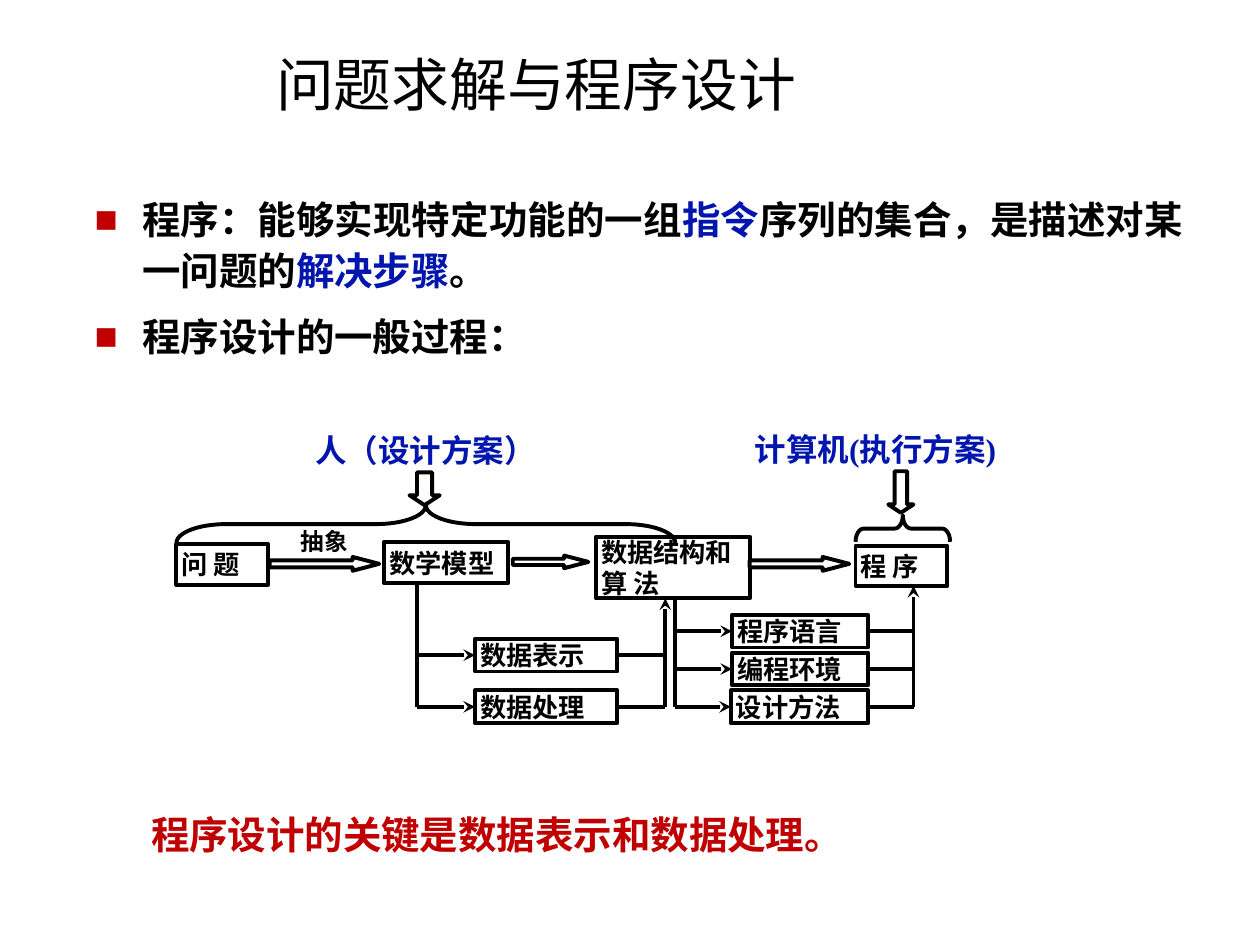
from lxml.etree import SubElement
from pptx import Presentation
from pptx.dml.color import RGBColor
from pptx.enum.shapes import MSO_CONNECTOR, MSO_SHAPE
from pptx.enum.text import MSO_ANCHOR, MSO_AUTO_SIZE, PP_ALIGN
from pptx.oxml.ns import qn
from pptx.util import Inches, Pt

BLACK = RGBColor(0, 0, 0)
WHITE = RGBColor(255, 255, 255)
BLUE = RGBColor(0x02, 0x16, 0xAE)
RED = RGBColor(0xC0, 0, 0)
SERIF, CHINESE, ROUNDED = "Times New Roman", "Noto Sans CJK SC", "Quicksand"
LINE_WIDTH = Pt(2.25)
TIGHT = (0.04, 0.01, 0.04, 0.01)
NORMAL = (0.1, 0.05, 0.1, 0.05)

TITLE = "问题求解与程序设计"
BULLETS = [
    (SERIF, [("程序：能够实现特定功能的一组", BLACK), ("指令", BLUE),
             ("序列的集合，是描述对某一问题的", BLACK), ("解决步骤", BLUE), ("。", BLACK)]),
    (ROUNDED, [("程序设计的一般过程：", BLACK)]),
]
STAGES = [
    ("问 题", (1.4, 4.32, 0.73, 0.32)),
    ("数学模型", (3.05, 4.3, 0.98, 0.33)),
    ("数据结构和算 法", (4.73, 4.26, 1.22, 0.49)),
    ("程 序", (6.79, 4.33, 0.73, 0.32)),
]
STAGE_ARROWS = [(2.14, 4.42, 0.87, 0.11), (4.07, 4.41, 0.6, 0.1), (5.95, 4.42, 0.79, 0.11)]
BRANCHES = [
    {"trunk": (3.31, 4.63), "riser": (5.28, 4.75),
     "steps": [("数据表示", (3.77, 5.07, 1.13, 0.26)),
               ("数据处理", (3.77, 5.48, 1.13, 0.26))]},
    {"trunk": (5.36, 4.75), "riser": (7.25, 4.65),
     "steps": [("程序语言", (5.81, 4.88, 1.08, 0.26)),
               ("编程环境", (5.81, 5.18, 1.08, 0.26)),
               ("设计方法", (5.8, 5.48, 1.09, 0.26))]},
]
ACTORS = [
    {"brace": (3.23, 2.18, 0.3, 3.96), "curve": 1.318, "arrow": (3.25, 3.75, 0.24, 0.26)},
    {"brace": (7.06, 3.82, 0.21, 0.75), "curve": 0.305, "arrow": (7.05, 3.74, 0.2, 0.33)},
]
LABELS = [
    ("人（设计方案）", (2.46, 3.41, 2.31, 0.33), 18, SERIF, BLUE, TIGHT, True),
    ("计算机(执行方案)", (5.95, 3.4, 2, 0.32), 18, SERIF, BLUE, TIGHT, True),
    ("抽象", (2.29, 4.13, 0.58, 0.33), 13.5, ROUNDED, BLACK, NORMAL, False),
    ("程序设计的关键是数据表示和数据处理。", (1.1, 6.39, 5.79, 0.47), 22, CHINESE, RED, NORMAL, False),
]


def style_font(font, size, name, color, bold=True):
    font.size, font.name, font.bold = Pt(size), name, bold
    font.color.rgb = color
    SubElement(font._element, qn("a:ea"), typeface=CHINESE)


def set_frame(frame, margins, wrap=True, anchor=MSO_ANCHOR.MIDDLE):
    frame.margin_left, frame.margin_top, frame.margin_right, frame.margin_bottom = map(Inches, margins)
    frame.word_wrap = wrap
    frame.auto_size = MSO_AUTO_SIZE.NONE
    frame.vertical_anchor = anchor


def place(shape, area):
    shape.left, shape.top, shape.width, shape.height = map(Inches, area)


def add_outline(page, kind, area, fill=None, adjustments=()):
    shape = page.shapes.add_shape(kind, *map(Inches, area))
    shape.shadow.inherit = False
    if fill is None:
        shape.fill.background()
    else:
        shape.fill.solid()
        shape.fill.fore_color.rgb = fill
    shape.line.color.rgb = BLACK
    shape.line.width = LINE_WIDTH
    for index, value in enumerate(adjustments):
        shape.adjustments[index] = value
    return shape


def add_box(page, text, area, font_name):
    box = add_outline(page, MSO_SHAPE.RECTANGLE, area)
    set_frame(box.text_frame, TIGHT)
    para = box.text_frame.paragraphs[0]
    para.text = text
    para.alignment = PP_ALIGN.LEFT
    style_font(para.font, 15, font_name, BLACK)
    return box


def add_line(page, start, end, arrow=False):
    line = page.shapes.add_connector(MSO_CONNECTOR.STRAIGHT, *map(Inches, start + end))
    line.line.color.rgb = BLACK
    line.line.width = LINE_WIDTH
    if arrow:
        SubElement(line.line._get_or_add_ln(), qn("a:tailEnd"), type="stealth")
    SubElement(line._element.spPr, qn("a:effectLst"))
    return line


def add_branch(page, trunk, riser, steps):
    trunk_x, trunk_top = trunk
    riser_x, riser_top = riser
    for text, area in steps:
        left, top, width, height = area
        middle = top + height / 2
        box = add_box(page, text, area, SERIF)
        add_line(page, (trunk_x, middle), (left, middle), True).end_connect(box, 1)
        add_line(page, (left + width, middle), (riser_x, middle)).begin_connect(box, 3)
    add_line(page, (trunk_x, trunk_top), (trunk_x, middle))
    add_line(page, (riser_x, middle), (riser_x, riser_top), True)


def add_title(page):
    title = page.shapes.title
    place(title, (1.18, 0.32, 6.15, 0.69))
    set_frame(title.text_frame, NORMAL)
    para = title.text_frame.paragraphs[0]
    para.text = TITLE
    para.alignment = PP_ALIGN.CENTER
    style_font(para.font, 33, "Arial", BLACK, False)


def add_bullets(page):
    body = page.placeholders[1]
    place(body, (0.65, 1.47, 8.84, 1.43))
    frame = body.text_frame
    set_frame(frame, NORMAL)
    for index, (font_name, spans) in enumerate(BULLETS):
        para = frame.add_paragraph() if index else frame.paragraphs[0]
        para.alignment = PP_ALIGN.JUSTIFY
        para.line_spacing = 1.1
        para.space_before = Pt(4.5 if index else 0)
        para.space_after = Pt(4.5)
        properties = para._p.get_or_add_pPr()
        properties.set("marL", str(Inches(0.38)))
        properties.set("indent", str(-Inches(0.38)))
        SubElement(SubElement(properties, qn("a:buClr")), qn("a:srgbClr"), val=str(RED))
        SubElement(properties, qn("a:buChar"), char="■")
        style_font(para.font, 22, font_name, BLACK)
        for text, color in spans:
            span = para.add_run()
            span.text = text
            span.font.color.rgb = color


def add_label(page, text, area, size, font_name, color, margins, centred):
    label = page.shapes.add_textbox(*map(Inches, area))
    set_frame(label.text_frame, margins, centred, MSO_ANCHOR.MIDDLE if centred else MSO_ANCHOR.TOP)
    para = label.text_frame.paragraphs[0]
    para.text = text
    style_font(para.font, size, font_name, color)


def main():
    deck = Presentation()
    deck.slide_width, deck.slide_height = Inches(10), Inches(7.5)
    page = deck.slides.add_slide(deck.slide_layouts[1])
    add_title(page)
    add_bullets(page)
    for branch in BRANCHES:
        add_branch(page, **branch)
    for actor in ACTORS:
        brace = add_outline(page, MSO_SHAPE.LEFT_BRACE, actor["brace"], None, (actor["curve"], 0.5))
        brace.rotation = 90
        add_outline(page, MSO_SHAPE.DOWN_ARROW, actor["arrow"], WHITE, (0.5, 0.329))
    for text, area in STAGES:
        add_box(page, text, area, CHINESE)
    for area in STAGE_ARROWS:
        add_outline(page, MSO_SHAPE.RIGHT_ARROW, area, WHITE, (0.5, 1.918))
    for label in LABELS:
        add_label(page, *label)
    deck.save("out.pptx")


if __name__ == "__main__":
    main()
